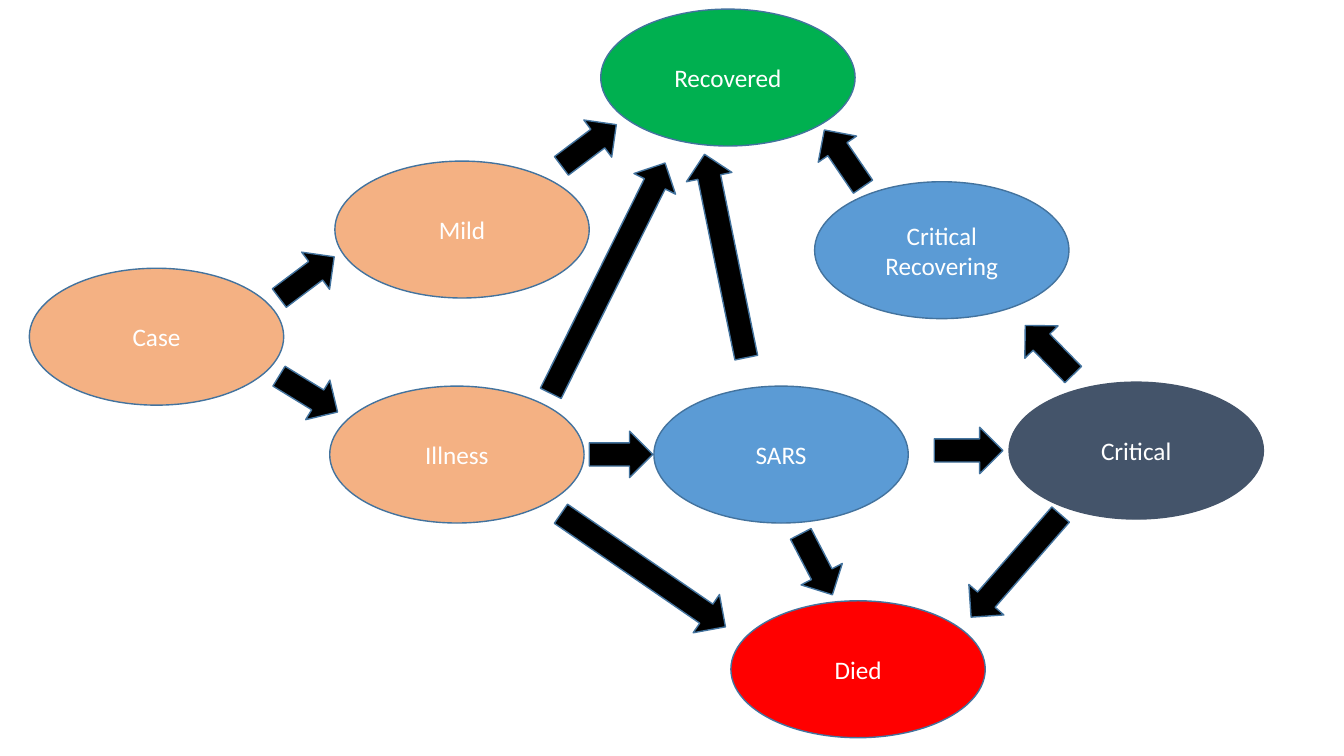
from dataclasses import dataclass

from pptx import Presentation
from pptx.dml.color import RGBColor
from pptx.enum.shapes import MSO_SHAPE
from pptx.enum.text import MSO_ANCHOR, PP_ALIGN
from pptx.util import Cm, Pt


@dataclass(frozen=True)
class Theme:
    """Colours, font and sizes of the slide."""
    early: str = "F4B183"
    ward: str = "5B9BD5"
    grave: str = "44546A"
    dead: str = "FF0000"
    well: str = "00B050"
    arrow: str = "000000"
    edge: str = "43739E"
    text: str = "FFFFFF"
    font: str = "Calibri"
    size: int = 18
    line: int = 1


theme = Theme()

# State: label, left, top (cm), fill, outline
states = [
    ("Case", 0.74, 6.76, theme.early, theme.edge),
    ("Mild", 8.44, 4.06, theme.early, theme.edge),
    ("Illness", 8.31, 9.73, theme.early, theme.edge),
    ("SARS", 16.48, 9.73, theme.ward, theme.edge),
    ("Critical", 25.43, 9.63, theme.grave, theme.grave),
    ("Critical Recovering", 20.53, 4.58, theme.ward, theme.edge),
    ("Died", 18.42, 15.14, theme.dead, theme.edge),
    ("Recovered", 15.14, 0.23, theme.well, theme.edge),
]
STATE_WIDTH, STATE_HEIGHT = 6.41, 3.45

ARROW_WIDTH, SHORT = 1.17, 1.73
# Step: centre x, centre y, length (cm), turn from pointing down (degrees)
steps = [
    (7.73, 6.99, SHORT, 233.1),     # Case to Mild
    (7.77, 9.93, SHORT, 301.5),     # Case to Illness
    (14.84, 3.66, SHORT, 233.1),    # Mild to Recovered
    (24.41, 11.35, SHORT, 270),     # SARS to Critical
    (21.26, 3.99, SHORT, 145.7),    # Critical Recovering to Recovered
    (26.44, 8.82, SHORT, 135.7),    # Critical to Critical Recovering
    (18.28, 6.45, 5.23, 168.4),     # SARS to Recovered
    (20.58, 14.22, SHORT, 332.5),   # SARS to Died
    (25.6, 14.26, 3.43, 41.1),      # Critical to Died
    (15.65, 11.45, 1.6, 270),       # Illness to SARS
    (15.32, 7.01, 6.48, 206.4),     # Illness to Recovered
    (16.21, 14.37, 5.03, 304.5),    # Illness to Died
]


def add_form(slide, kind, box, fill, edge):
    """Add a filled, outlined preset shape; box is in cm."""
    form = slide.shapes.add_shape(kind, *(Cm(side) for side in box))
    form.shadow.inherit = False
    form.fill.solid()
    form.fill.fore_color.rgb = RGBColor.from_string(fill)
    form.line.color.rgb = RGBColor.from_string(edge)
    form.line.width = Pt(theme.line)
    return form


def write(form, text, *, size=theme.size, color=theme.text, align=PP_ALIGN.CENTER):
    """Put formatted text in the middle of a shape."""
    frame = form.text_frame
    frame.word_wrap = True
    frame.vertical_anchor = MSO_ANCHOR.MIDDLE
    line = frame.paragraphs[0]
    line.alignment = align
    run = line.add_run()
    run.text = text
    run.font.name = theme.font
    run.font.size = Pt(size)
    run.font.color.rgb = RGBColor.from_string(color)


def add_state(slide, label, left, top, fill, edge):
    """Add one labelled disease state."""
    box = (left, top, STATE_WIDTH, STATE_HEIGHT)
    write(add_form(slide, MSO_SHAPE.OVAL, box, fill, edge), label)


def add_step(slide, x, y, length, turn):
    """Add a block arrow turned about its centre."""
    box = (x - ARROW_WIDTH / 2, y - length / 2, ARROW_WIDTH, length)
    form = add_form(slide, MSO_SHAPE.DOWN_ARROW, box, theme.arrow, theme.edge)
    form.rotation = turn


def build():
    """Build and save the slide."""
    deck = Presentation()
    deck.slide_width, deck.slide_height = Cm(33.87), Cm(19.05)
    slide = deck.slides.add_slide(deck.slide_layouts.get_by_name("Blank"))
    for state in states:
        add_state(slide, *state)
    for step in steps:
        add_step(slide, *step)
    deck.save("out.pptx")


build()
